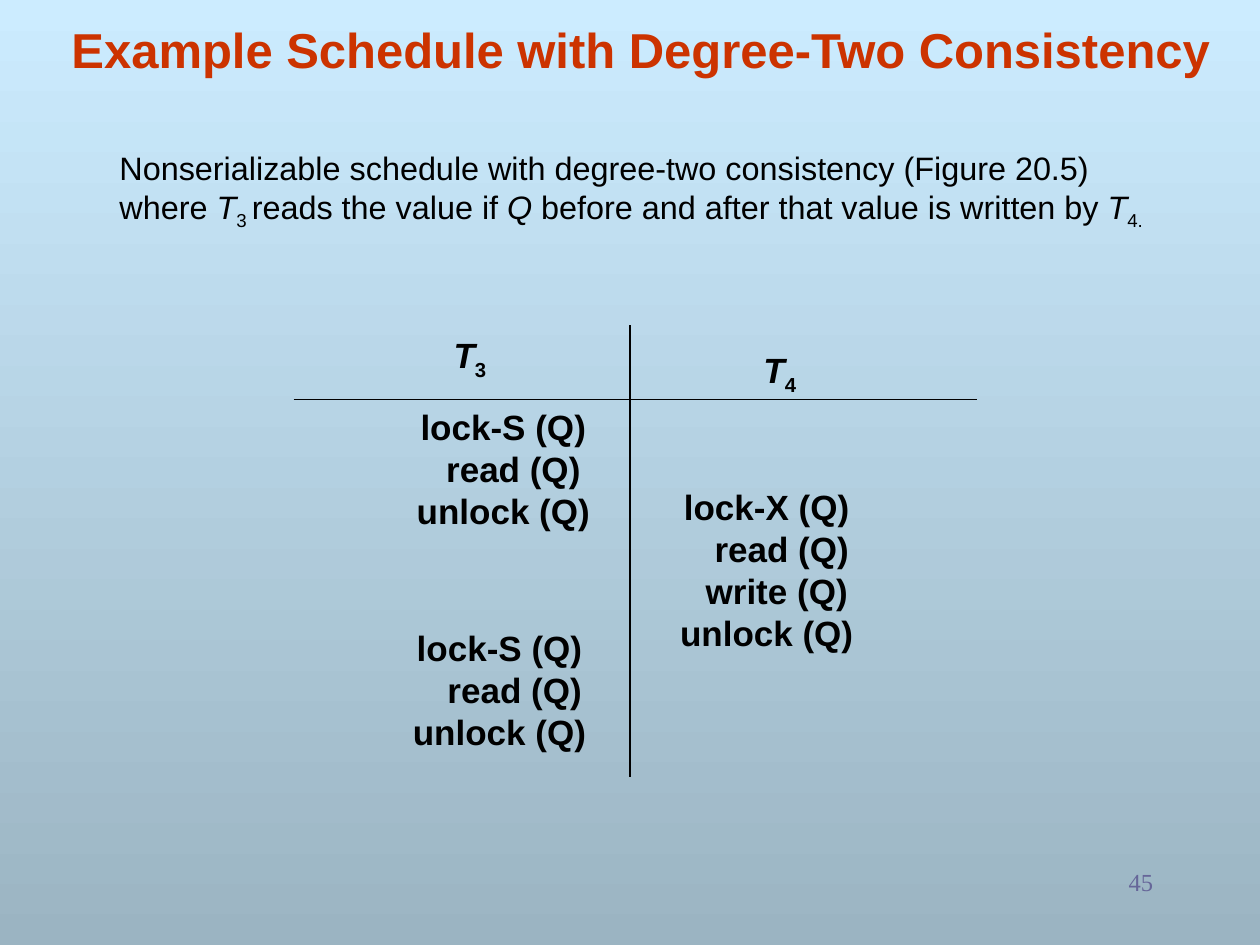
from dataclasses import dataclass

from lxml import etree
from pptx import Presentation
from pptx.dml.color import RGBColor
from pptx.enum.shapes import MSO_CONNECTOR as Connector
from pptx.enum.text import MSO_ANCHOR as Anchor, MSO_AUTO_SIZE as AutoSize, PP_ALIGN as Align
from pptx.oxml.ns import qn
from pptx.util import Inches, Pt

BLACK, RED, VIOLET = "000000", "CC3300", "666699"
SKY, SLATE = "CCECFF", "9BB4C2"
SPACE = 0.08  # width of one indent step, in inches


@dataclass
class Run:
    text: str
    italic: bool = False
    subscript: bool = False


@dataclass
class Line:
    runs: list[Run]
    indent: float = 0


@dataclass
class Label:
    left: float
    top: float
    width: float
    height: float
    lines: list[Line]
    size: float = 20
    color: str = BLACK
    font: str = "Arial"
    bold: bool = True
    align: Align = Align.CENTER
    anchor: Anchor = Anchor.TOP
    wrap: bool = False


@dataclass
class Rule:
    start: tuple[float, float]
    end: tuple[float, float]


def rgb(value: str) -> RGBColor:
    return RGBColor.from_string(value)


def set_values(target, values: dict) -> None:
    for name, value in values.items():
        setattr(target, name, value)


def add_label(slide, label: Label) -> None:
    box = slide.shapes.add_textbox(
        *map(Inches, (label.left, label.top, label.width, label.height)))
    frame = box.text_frame
    set_values(frame, {
        "word_wrap": label.wrap,
        "auto_size": AutoSize.NONE if label.wrap else AutoSize.SHAPE_TO_FIT_TEXT,
        "vertical_anchor": label.anchor,
    })
    for index, line in enumerate(label.lines):
        paragraph = frame.add_paragraph() if index else frame.paragraphs[0]
        paragraph.alignment = label.align
        if line.indent:
            paragraph._p.get_or_add_pPr().set("marL", str(Inches(line.indent)))
        for part in line.runs:
            run = paragraph.add_run()
            run.text = part.text
            set_values(run.font, {"name": label.font, "size": Pt(label.size),
                                  "bold": label.bold, "italic": part.italic})
            run.font.color.rgb = rgb(label.color)
            if part.subscript:
                run._r.get_or_add_rPr().set("baseline", "-25000")


def add_rule(slide, rule: Rule) -> None:
    connector = slide.shapes.add_connector(
        Connector.STRAIGHT, *map(Inches, rule.start + rule.end))
    connector.line.color.rgb = rgb(BLACK)
    connector.line.width = Pt(0.75)
    etree.SubElement(connector._element.spPr, qn("a:effectLst"))


def heading(left: float, top: float, number: str) -> Label:
    """Name of a transaction above its column."""
    runs = [Run("T", italic=True), Run(number, subscript=True)]
    return Label(left, top, 0.46, 0.48, [Line(runs)])


def steps(left: float, top: float, *operations: tuple[str, int]) -> Label:
    """Operations of a transaction, each with its indent steps."""
    lines = [Line([Run(f"{name} (Q)")], indent * SPACE) for name, indent in operations]
    return Label(left, top, 1.67, 0.1 + len(lines) / 3, lines, wrap=True)


TITLE = Label(0.25, -0.08, 9.67, 0.75,
              [Line([Run("Example Schedule with Degree-Two Consistency")])],
              size=28, color=RED, anchor=Anchor.BOTTOM, wrap=True)

INTRO = Label(0.47, 1.13, 8.93, 1.17, [Line([
    Run("Nonserializable schedule with degree-two consistency (Figure 20.5) where "),
    Run("T", italic=True),
    Run("3 ", subscript=True),
    Run("reads the value if "),
    Run("Q", italic=True),
    Run(" before and after that value is written by "),
    Run("T", italic=True),
    Run("4.", subscript=True),
], indent=0.38)], size=18.5, bold=False, align=Align.LEFT, wrap=True)

PAGE_NUMBER = Label(7.17, 6.83, 2.08, 0.5, [Line([Run("45")])], size=14, color=VIOLET,
                    font="Times New Roman", bold=False, align=Align.RIGHT, wrap=True)

SCHEDULE = [
    heading(3.5, 2.6, "3"),
    heading(5.96, 2.72, "4"),
    steps(3.16, 3.17, ("lock-S", 0), ("read", 2), ("unlock", 0)),
    steps(3.13, 4.92, ("lock-S", 0), ("read", 3), ("unlock", 0)),
    steps(5.25, 3.8, ("lock-X", 0), ("read", 3), ("write", 2), ("unlock", 0)),
]

RULES = [Rule((2.33, 3.17), (7.75, 3.17)), Rule((5, 2.58), (5, 6.17))]


def main() -> None:
    presentation = Presentation()
    set_values(presentation, {"slide_width": Inches(10), "slide_height": Inches(7.5)})
    slide = presentation.slides.add_slide(presentation.slide_layouts[6])

    # Background, light at the top
    fill = slide.background.fill
    fill.gradient()
    fill.gradient_angle = 270
    for stop, color, position in zip(fill.gradient_stops, (SKY, SLATE), (0, 1)):
        stop.color.rgb = rgb(color)
        stop.position = position

    # Page number, title and introduction
    for label in (PAGE_NUMBER, TITLE, INTRO):
        add_label(slide, label)

    # Schedule of the two transactions
    for rule in RULES:
        add_rule(slide, rule)
    for label in SCHEDULE:
        add_label(slide, label)

    presentation.save("out.pptx")


if __name__ == "__main__":
    main()
